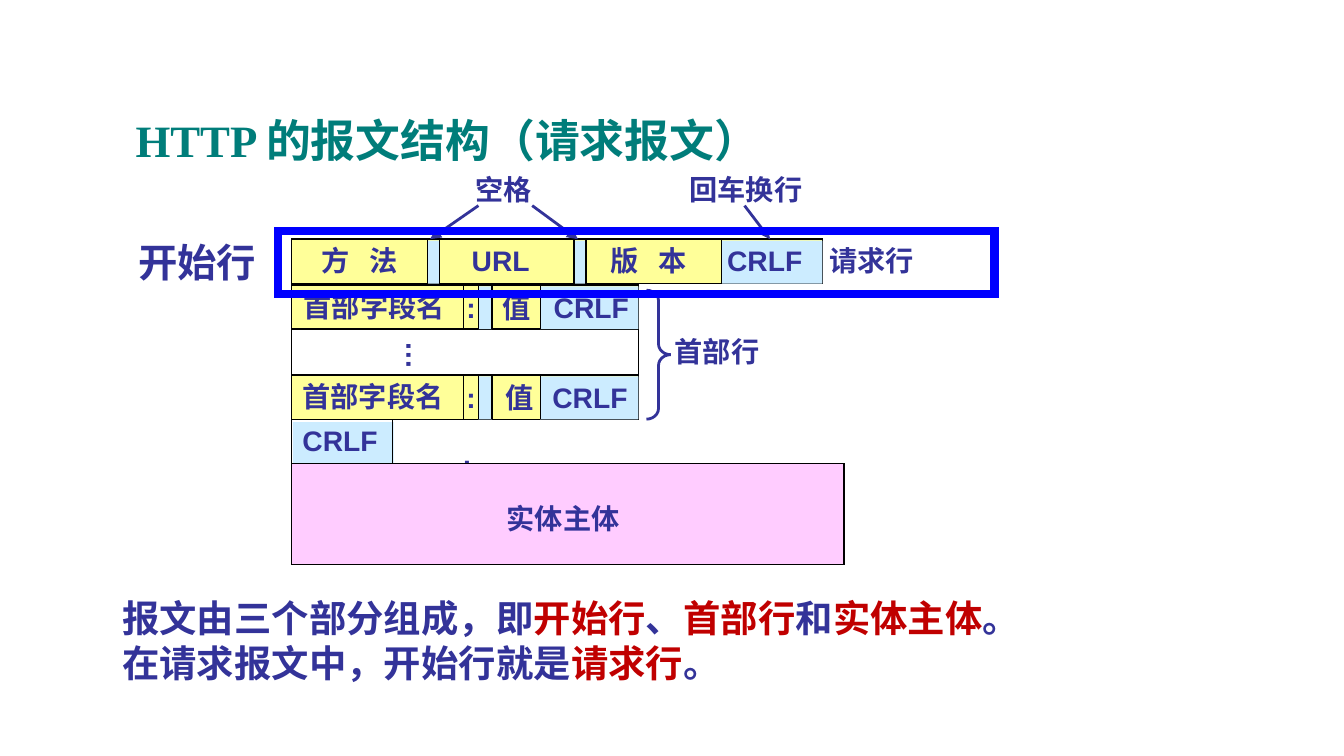
from dataclasses import dataclass

from lxml.etree import SubElement
from pptx import Presentation
from pptx.dml.color import RGBColor
from pptx.enum.shapes import MSO_CONNECTOR, MSO_SHAPE
from pptx.enum.text import MSO_ANCHOR, MSO_AUTO_SIZE, PP_ALIGN
from pptx.oxml.ns import qn
from pptx.util import Emu, Pt

PX = 9144
INK, BLACK, RED, BLUE, TEAL = "333399", "000000", "C00000", "0000FF", "007D7A"
YELLOW, SKY, PINK = "FFFF99", "CCECFF", "FFCCFF"


@dataclass
class Label:
    text: str
    x: int
    y: int
    w: int
    h: int = 33
    size: float = 15.1
    font: str = "Arial"
    color: str = INK
    inset: tuple[int, int] = (8, 4)
    align: PP_ALIGN = PP_ALIGN.LEFT
    rotation: int = 0
    tab: int = 0


@dataclass
class Row:
    y: int
    w: int
    fills: list[tuple[int, int]]
    dividers: list[int]
    labels: list[Label]


def px(n: int) -> Emu:
    return Emu(n * PX)


def rgb(color: str) -> RGBColor:
    return RGBColor.from_string(color)


def add_shape(s, kind, x: int, y: int, w: int, h: int,
              fill: str = "", line: str = "", width: float = 0.75):
    sp = s.shapes.add_shape(kind, px(x), px(y), px(w), px(h))
    sp.shadow.inherit = False
    if fill:
        sp.fill.solid()
        sp.fill.fore_color.rgb = rgb(fill)
    else:
        sp.fill.background()
    if line:
        sp.line.color.rgb = rgb(line)
        sp.line.width = Pt(width)
        SubElement(sp.line._get_or_add_ln(), qn("a:miter"), lim="800000")
    else:
        sp.line.fill.background()
    return sp


def add_line(s, x1: int, y1: int, x2: int, y2: int,
             color: str = BLACK, width: float = 0.75, arrow: bool = False) -> None:
    cx = s.shapes.add_connector(MSO_CONNECTOR.STRAIGHT, px(x1), px(y1), px(x2), px(y2))
    cx.line.color.rgb = rgb(color)
    cx.line.width = Pt(width)
    if arrow:
        SubElement(cx.line._get_or_add_ln(), qn("a:tailEnd"), type="triangle")
    SubElement(cx._element.spPr, qn("a:effectLst"))


def add_label(s, label: Label):
    sp = s.shapes.add_textbox(px(label.x), px(label.y), px(label.w), px(label.h))
    sp.rotation = label.rotation
    tf = sp.text_frame
    tf.word_wrap = False
    tf.auto_size = MSO_AUTO_SIZE.SHAPE_TO_FIT_TEXT
    tf.margin_left = tf.margin_right = px(label.inset[0])
    tf.margin_top = tf.margin_bottom = px(label.inset[1])
    p = tf.paragraphs[0]
    p.text = label.text
    p.alignment = label.align
    if label.tab:
        tabs = SubElement(p._p.get_or_add_pPr(), qn("a:tabLst"))
        SubElement(tabs, qn("a:tab"), pos=str(px(label.tab)), algn="l")
    set_font(p, label.size, label.font)
    p.font.color.rgb = rgb(label.color)
    return sp


def set_font(p, size: float, name: str) -> None:
    p.font.size = Pt(size)
    p.font.name = name
    p.font.bold = True


def add_row(s, row: Row) -> None:
    add_shape(s, MSO_SHAPE.RECTANGLE, 217, row.y, row.w, 33, YELLOW, BLACK)
    for x, w in row.fills:
        add_shape(s, MSO_SHAPE.RECTANGLE, x, row.y + 1, w, 32, SKY)
    for x in row.dividers:
        add_line(s, x, row.y, x, row.y + 33)
    for label in row.labels:
        add_label(s, label)


def header_row(y: int, name_x: int, value_x: int, crlf_x: int) -> Row:
    return Row(y, 258, [(356, 10), (402, 73)], [345, 356, 366, 402], [
        Label("首部字段名", name_x, y - 1, 121),
        Label(":", 339, y, 22),
        Label("值", value_x, y, 36),
        Label("CRLF", crlf_x, y, 72),
    ])


def add_summary(s) -> None:
    lines = [
        [("报文由三个部分组成，即", INK), ("开始行", RED), ("、", INK), ("首部行", RED),
         ("和", INK), ("实体主体", RED), ("。", INK)],
        [("在请求报文中，开始行就是", INK), ("请求行", RED), ("。", INK)],
    ]
    tf = add_label(s, Label("", 83, 439, 693, 75)).text_frame
    for i, runs in enumerate(lines):
        p = tf.add_paragraph() if i else tf.paragraphs[0]
        set_font(p, 20, "Times New Roman")
        for text, color in runs:
            r = p.add_run()
            r.text = text
            r.font.color.rgb = rgb(color)


def main() -> None:
    prs = Presentation()
    prs.slide_width = px(1000)
    prs.slide_height = Emu(prs.slide_width * 9 // 16)
    s = prs.slides.add_slide(prs.slide_layouts[6])

    title = add_label(s, Label("HTTP 的报文结构（请求报文）", 91, 69, 641, 69, 24,
                               "Times New Roman", TEAL, (10, 5)))
    title.text_frame.auto_size = MSO_AUTO_SIZE.NONE
    title.text_frame.word_wrap = True
    title.text_frame.vertical_anchor = MSO_ANCHOR.MIDDLE

    request_row = Row(178, 395, [(318, 9), (427, 9), (537, 75)], [318, 327, 427, 436, 537], [
        Label("方\t法", 231, 177, 75, tab=36),
        Label("URL", 343, 177, 62),
        Label("版\t本", 446, 177, 75, tab=36),
        Label("CRLF", 533, 177, 72),
        Label("请求行", 609, 177, 79),
    ])
    for row in (header_row(279, 217, 368, 403), header_row(212, 218, 366, 404), request_row):
        add_row(s, row)

    add_shape(s, MSO_SHAPE.RECTANGLE, 218, 314, 75, 32, SKY)
    for x, y in ((217, 245), (475, 245), (217, 312), (292, 312)):
        add_line(s, x, y, x, y + 34)
    for label in (
        Label("CRLF", 217, 311, 72),
        Label("…", 279, 248, 36, rotation=270),
        Label(":", 336, 329, 22),
        Label("首部行", 494, 245, 79),
        Label("空格", 346, 124, 58),
        Label("回车换行", 505, 124, 100),
    ):
        add_label(s, label)

    brace = add_shape(s, MSO_SHAPE.RIGHT_BRACE, 481, 216, 18, 96, line=INK, width=1.5)
    brace.adjustments[0] = 0.44
    add_shape(s, MSO_SHAPE.RECTANGLE, 217, 345, 411, 75, PINK, BLACK)
    add_label(s, Label("实体主体", 369, 369, 100, align=PP_ALIGN.CENTER))
    for x1, x2 in ((396, 430), (356, 320), (554, 573)):
        add_line(s, x1, 153, x2, 178, INK, 1.5, arrow=True)

    add_summary(s)
    add_shape(s, MSO_SHAPE.RECTANGLE, 207, 172, 533, 47, line=BLUE, width=4.5)
    add_label(s, Label("开始行", 93, 172, 110, 46, 21.1, "Times New Roman", inset=(10, 5)))
    prs.save("out.pptx")


if __name__ == "__main__":
    main()
